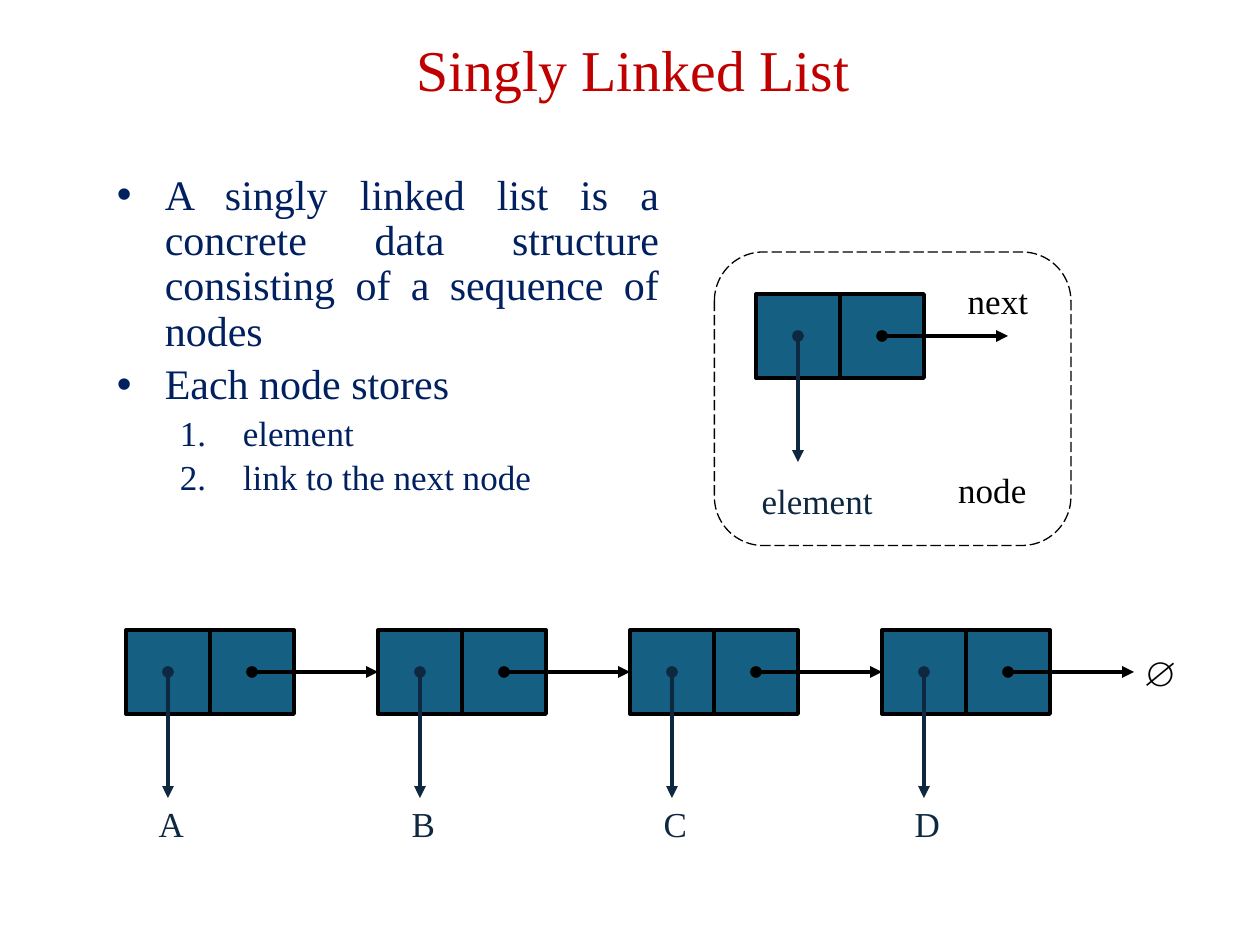
from dataclasses import dataclass
from typing import Optional

from lxml.etree import SubElement
from pptx import Presentation
from pptx.dml.color import RGBColor
from pptx.enum.dml import MSO_LINE
from pptx.enum.shapes import MSO_CONNECTOR as Connector, MSO_SHAPE as Shape
from pptx.enum.text import MSO_ANCHOR as Anchor, MSO_AUTO_SIZE as AutoSize, PP_ALIGN as Align
from pptx.oxml.ns import qn
from pptx.util import Inches, Pt

FONT = "Times New Roman"
COLORS = {
    "title": "C00000",
    "body": "002060",
    "cell": "156082",
    "element": "0E2841",
    "black": "000000",
}
CELL = 2 / 3
ARROW = 1
NODE_STEP = 2
LIST_LEFT, LIST_TOP = 1, 5


@dataclass
class Label:
    text: str
    left: float
    top: float
    width: float
    color: str
    bold: bool = False


@dataclass
class Bullet:
    text: str
    level: int = 0


@dataclass
class Node:
    left: float
    top: float
    element_cell: object
    link_cell: object


LABELS = [
    Label("next", 7.58, 2.17, 0.68, "black"),
    Label("element", 5.94, 3.76, 1.09, "element"),
    Label("node", 7.5, 3.67, 0.75, "black"),
    Label("∅", 8.97, 5.12, 0.43, "black", True),
]
BULLETS = [
    Bullet("A singly linked list is a concrete data structure consisting of a sequence of nodes"),
    Bullet("Each node stores"),
    Bullet("element", 1),
    Bullet("link to the next node", 1),
]


def rgb(name: str) -> RGBColor:
    return RGBColor.from_string(COLORS[name])


def set_font(paragraph, size: float, color: str) -> None:
    paragraph.font.name = FONT
    paragraph.font.size = Pt(size)
    paragraph.font.color.rgb = rgb(color)


def format_title(title) -> None:
    title.left, title.top = Inches(0.55), Inches(0)
    title.width, title.height = Inches(8.95), Inches(1.15)
    frame = title.text_frame
    frame.text = "Singly Linked List"
    frame.auto_size = AutoSize.NONE
    frame.vertical_anchor = Anchor.MIDDLE
    paragraph = frame.paragraphs[0]
    paragraph.alignment = Align.CENTER
    paragraph.line_spacing = 0.9
    set_font(paragraph, 33, "title")


def add_bullet(paragraph, bullet: Bullet) -> None:
    paragraph.text = bullet.text
    paragraph.level = bullet.level
    paragraph.alignment = Align.JUSTIFY
    paragraph.line_spacing = 0.9
    margin, hanging = (1, 0.5) if bullet.level else (0.38, 0.38)
    properties = paragraph._p.get_or_add_pPr()
    properties.set("marL", str(Inches(margin)))
    properties.set("indent", str(-Inches(hanging)))
    space_before = SubElement(properties, qn("a:spcBef"))
    SubElement(space_before, qn("a:spcPct"), val="20000")
    if bullet.level:
        SubElement(properties, qn("a:buAutoNum"), type="arabicPeriod")
    else:
        SubElement(properties, qn("a:buFont"), typeface="Arial")
        SubElement(properties, qn("a:buChar"), char="•")
    set_font(paragraph, 20 if bullet.level else 24, "body")


def add_body(slide) -> None:
    box = slide.shapes.add_textbox(Inches(0.83), Inches(1.33), Inches(4.5), Inches(2.75))
    frame = box.text_frame
    frame.word_wrap = True
    for index, bullet in enumerate(BULLETS):
        add_bullet(frame.add_paragraph() if index else frame.paragraphs[0], bullet)


def add_label(slide, label: Label) -> None:
    box = slide.shapes.add_textbox(
        Inches(label.left), Inches(label.top), Inches(label.width), Inches(0.44)
    )
    frame = box.text_frame
    frame.word_wrap = False
    frame.auto_size = AutoSize.SHAPE_TO_FIT_TEXT
    frame.text = label.text
    paragraph = frame.paragraphs[0]
    paragraph.alignment = Align.CENTER
    set_font(paragraph, 20, label.color)
    if label.bold:
        paragraph.font.bold = True


def add_cell(slide, left: float, top: float):
    cell = slide.shapes.add_shape(
        Shape.RECTANGLE, Inches(left), Inches(top), Inches(CELL), Inches(CELL)
    )
    cell.shadow.inherit = False
    cell.fill.solid()
    cell.fill.fore_color.rgb = rgb("cell")
    cell.line.color.rgb = rgb("black")
    cell.line.width = Pt(2.25)
    return cell


def add_node(slide, left: float, top: float) -> Node:
    return Node(left, top, add_cell(slide, left, top), add_cell(slide, left + CELL, top))


def add_arrow(slide, x: float, y: float, dx: float, dy: float, color: str):
    arrow = slide.shapes.add_connector(
        Connector.STRAIGHT, Inches(x), Inches(y), Inches(x + dx), Inches(y + dy)
    )
    arrow.line.color.rgb = rgb(color)
    arrow.line.width = Pt(2.25)
    line = arrow.line._get_or_add_ln()
    SubElement(line, qn("a:headEnd"), type="oval")
    SubElement(line, qn("a:tailEnd"), type="triangle")
    SubElement(arrow._element.spPr, qn("a:effectLst"))
    return arrow


def add_node_arrows(slide, node: Node, next_node: Optional[Node] = None) -> None:
    middle = node.top + CELL / 2
    add_arrow(slide, node.left + CELL / 2, middle, 0, ARROW, "element")
    link = add_arrow(slide, node.left + CELL * 1.5, middle, ARROW, 0, "black")
    if next_node:
        link.end_connect(next_node.element_cell, 1)


def add_node_frame(slide) -> None:
    frame = slide.shapes.add_shape(
        Shape.ROUNDED_RECTANGLE, Inches(5.67), Inches(2), Inches(2.83), Inches(2.33)
    )
    frame.shadow.inherit = False
    frame.adjustments[0] = 1 / 6
    frame.fill.background()
    frame.line.color.rgb = rgb("black")
    frame.line.width = Pt(0.75)
    frame.line.dash_style = MSO_LINE.LONG_DASH


def main() -> None:
    presentation = Presentation()
    presentation.slide_width, presentation.slide_height = Inches(10), Inches(7.5)
    slide = presentation.slides.add_slide(presentation.slide_layouts[5])
    format_title(slide.shapes.title)
    add_body(slide)
    add_node_frame(slide)
    add_node_arrows(slide, add_node(slide, 6, 2 + CELL / 2))

    letters = "ABCD"
    nodes = [add_node(slide, LIST_LEFT + NODE_STEP * i, LIST_TOP) for i in range(len(letters))]
    for letter, node, next_node in zip(letters, nodes, nodes[1:] + [None]):
        add_node_arrows(slide, node, next_node)
        add_label(slide, Label(letter, node.left + 0.16, 6.32, 0.4, "element"))
    for label in LABELS:
        add_label(slide, label)
    presentation.save("out.pptx")


if __name__ == "__main__":
    main()
